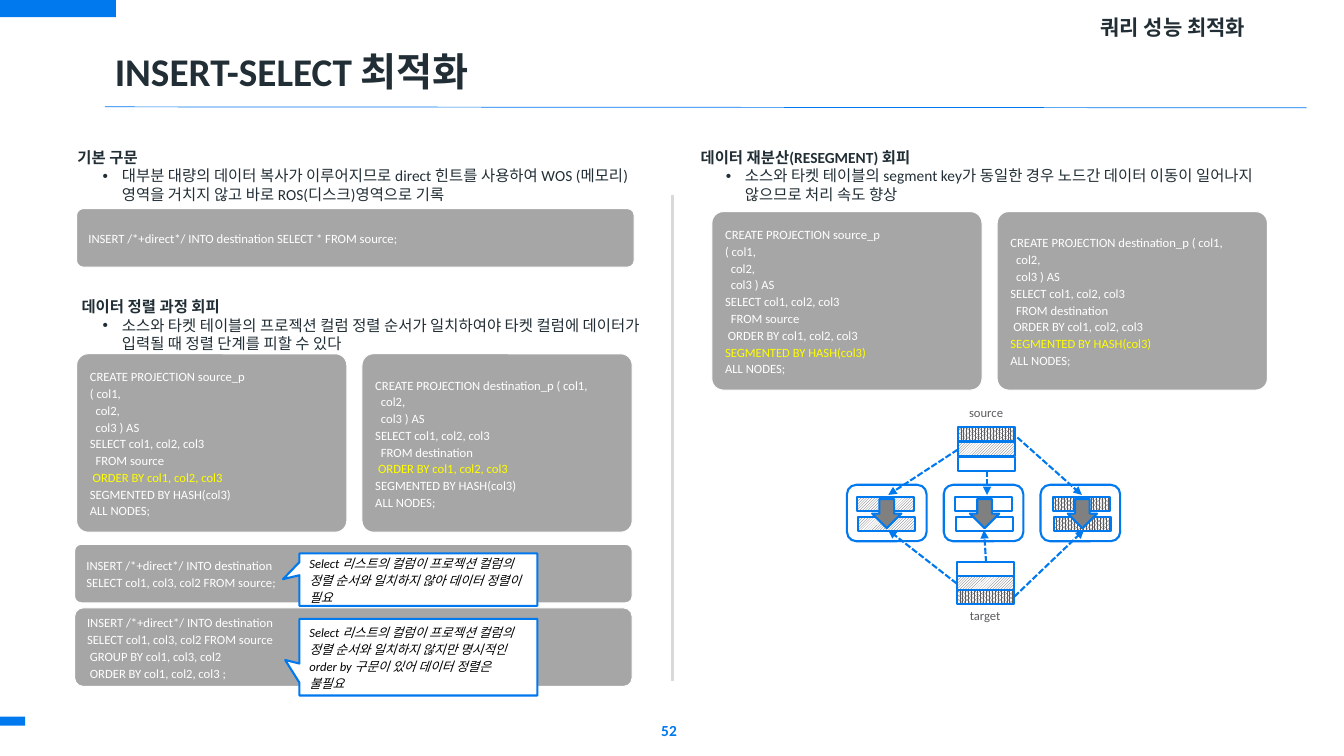
"""Build the INSERT-SELECT optimisation slide."""
from lxml import etree
from pptx import Presentation
from pptx.dml.color import RGBColor
from pptx.enum.dml import MSO_LINE, MSO_PATTERN
from pptx.enum.shapes import MSO_CONNECTOR, MSO_SHAPE
from pptx.enum.text import MSO_ANCHOR, PP_ALIGN
from pptx.oxml.ns import qn
from pptx.util import Inches, Pt

BLUE = RGBColor(0x00, 0x79, 0xEF)
INK = RGBColor(0x21, 0x2E, 0x35)
CODE_GRAY = RGBColor(0xA6, 0xA6, 0xA6)
ARROW_GRAY = RGBColor(0x80, 0x80, 0x80)
RULE_GRAY = RGBColor(0xD9, 0xD9, 0xD9)
LABEL_GRAY = RGBColor(0x5C, 0x5B, 0x5F)
WHITE = RGBColor(0xFF, 0xFF, 0xFF)
BLACK = RGBColor(0x00, 0x00, 0x00)
YELLOW = RGBColor(0xFF, 0xFF, 0x00)
RECT, ROUNDED = MSO_SHAPE.RECTANGLE, MSO_SHAPE.ROUNDED_RECTANGLE
CALLOUT, DOWN = MSO_SHAPE.RECTANGULAR_CALLOUT, MSO_SHAPE.DOWN_ARROW
STRAIGHT, DASH = MSO_CONNECTOR.STRAIGHT, MSO_LINE.SQUARE_DOT
DIAGONAL, DENSE = MSO_PATTERN.LIGHT_UPWARD_DIAGONAL, MSO_PATTERN.PERCENT_80
TOP, MIDDLE = MSO_ANCHOR.TOP, MSO_ANCHOR.MIDDLE
LEFT, CENTER, RIGHT = PP_ALIGN.LEFT, PP_ALIGN.CENTER, PP_ALIGN.RIGHT

TITLE = "INSERT-SELECT 최적화"
CHAPTER = "쿼리 성능 최적화"
PAGE_NUMBER = "52"
COLUMNS = [
    (0.67, [
        ("기본 구문", 0, 0,
         "대부분 대량의 데이터 복사가 이루어지므로 direct 힌트를 사용하여 WOS"
         " (메모리)영역을 거치지 않고 바로 ROS(디스크)영역으로 기록"),
        ("데이터 정렬 과정 회피", 67, 0.04,
         "소스와 타켓 테이블의 프로젝션 컬럼 정렬 순서가 일치하여야 타켓 컬럼에"
         " 데이터가 입력될 때 정렬 단계를 피할 수 있다"),
    ]),
    (6.85, [
        ("데이터 재분산(RESEGMENT) 회피", 0, 0,
         "소스와 타켓 테이블의 segment key가 동일한 경우 노드간 데이터 이동이"
         " 일어나지 않으므로 처리 속도 향상"),
    ]),
]
PROJECTION_TAIL = [" ORDER BY col1, col2, col3", "SEGMENTED BY HASH(col3)", "ALL NODES;"]
SOURCE_CODE = ["CREATE PROJECTION source_p", "( col1,", "  col2,", "  col3 ) AS",
               "SELECT col1, col2, col3", "  FROM source"] + PROJECTION_TAIL
DESTINATION_CODE = ["CREATE PROJECTION destination_p ( col1,", "  col2,", "  col3 ) AS",
                    "SELECT col1, col2, col3", "  FROM destination"] + PROJECTION_TAIL
PROJECTION_ROWS = [(0.76, 3.51, "ORDER BY"), (7.06, 2.1, "SEGMENTED")]
PROJECTION_STEP = 2.83
BASIC_CODE = ["INSERT /*+direct*/ INTO destination SELECT * FROM source;"]
INSERTS = [
    (5.4, 0.58, ["INSERT /*+direct*/ INTO destination",
                 "SELECT col1, col3, col2 FROM source;"],
     5.49, 0.52, (-0.569, -0.009),
     "Select 리스트의 컬럼이 프로젝션 컬럼의 정렬 순서와 일치하지 않아 데이터 정렬이 필요"),
    (6.03, 0.78, ["INSERT /*+direct*/ INTO destination",
                  "SELECT col1, col3, col2 FROM source",
                  " GROUP BY col1, col3, col2", " ORDER BY col1, col2, col3 ;"],
     6.14, 0.76, (-0.56, 0.037),
     "Select 리스트의 컬럼이 프로젝션 컬럼의 정렬 순서와 일치하지 않지만 명시적인"
     " order by 구문이 있어 데이터 정렬은 불필요"),
]
NODE_FILLS = [DIAGONAL, None, DENSE]
STACKS = [(9.5, 4.24, 0.145, [DENSE, DIAGONAL, None]),
          (9.49, 5.58, 0.135, [None, DIAGONAL, DENSE])]
FLOWS = [(9.49, 5.79, 8.81, 5.26), (9.78, 5.58, 9.76, 5.26), (10.06, 5.92, 10.75, 5.26),
         (9.79, 4.67, 9.79, 4.91), (9.5, 4.46, 8.81, 4.91), (10.09, 4.34, 10.73, 4.91)]
LABELS = [("source", 9.61, 4.03), ("target", 9.6, 6.05)]

deck = Presentation()
deck.slide_width, deck.slide_height = Inches(13.33), Inches(7.5)
page = deck.slides.add_slide(deck.slide_layouts[6])


def apply(target, values):
    for name, value in values.items():
        setattr(target, name, value)


def write(para, text, size, color, **styles):
    span = para.add_run()
    span.text = text
    apply(span.font, dict(size=Pt(size), name="Calibri", **styles))
    span.font.color.rgb = color


def add_box(at, anchor=TOP):
    box = page.shapes.add_textbox(*map(Inches, at))
    apply(box.text_frame, dict(word_wrap=True, vertical_anchor=anchor))
    return box.text_frame


def add_shape(kind, at, fill, line=BLUE, width=1.5, adjust=()):
    shape = page.shapes.add_shape(kind, *map(Inches, at))
    shape.shadow.inherit = False
    if fill in (DIAGONAL, DENSE):
        shape.fill.patterned()
        shape.fill.pattern = fill
        shape.fill.fore_color.rgb, shape.fill.back_color.rgb = LABEL_GRAY, WHITE
    else:
        shape.fill.solid()
        shape.fill.fore_color.rgb = fill or WHITE
    if line is None:
        shape.line.fill.background()
    else:
        shape.line.color.rgb, shape.line.width = line, Pt(width)
    for index, value in enumerate(adjust):
        shape.adjustments[index] = value
    return shape


def add_line(ends, color, width, arrow=False):
    line = page.shapes.add_connector(STRAIGHT, *map(Inches, ends))
    line.line.color.rgb, line.line.width = color, Pt(width)
    if arrow:
        line.line.dash_style = DASH
        etree.SubElement(line.line._get_or_add_ln(), qn("a:tailEnd"), type="triangle")
    etree.SubElement(line._element.spPr, qn("a:effectLst"))


def fill_lines(shape, lines, color, accent=None, **styles):
    frame = shape.text_frame
    apply(frame, dict(word_wrap=True, vertical_anchor=MIDDLE))
    for index, text in enumerate(lines):
        para = frame.add_paragraph() if index else frame.paragraphs[0]
        apply(para, dict(alignment=LEFT, line_spacing=Pt(12)))
        marked = accent and text.strip().startswith(accent)
        write(para, text, 9, YELLOW if marked else color, **styles)


def add_code(at, lines, corner=0.111, accent=None):
    panel = add_shape(ROUNDED, at, CODE_GRAY, WHITE, 0.75, [corner])
    fill_lines(panel, lines, WHITE, accent)


def add_caption(at, text, size, color, anchor=TOP, alignment=LEFT, spacing=0.9):
    frame = add_box(at, anchor)
    para = frame.paragraphs[0]
    apply(para, dict(alignment=alignment, line_spacing=spacing))
    write(para, text, size, color, bold=True)


def add_column(left, sections):
    frame = add_box((left, 1.42, 5.81, 5.48))
    for index, (heading, before, indent, detail) in enumerate(sections):
        para = frame.add_paragraph() if index else frame.paragraphs[0]
        if before:
            para.space_before = Pt(before)
            para._p.get_or_add_pPr().set("marL", str(Inches(indent)))
        write(para, heading, 11, INK, bold=True)
        para = frame.add_paragraph()
        properties = para._p.get_or_add_pPr()
        properties.set("marL", str(Inches(0.44)))
        properties.set("indent", str(Inches(-0.19)))
        etree.SubElement(properties, qn("a:buFont"), typeface="Arial")
        etree.SubElement(properties, qn("a:buChar"), char="•")
        write(para, detail, 11, INK, bold=False)


add_shape(RECT, (0, 0, 1.15, 0.17), BLUE, None)
add_shape(RECT, (0, 7.11, 0.25, 0.09), BLUE, None)
add_line((1.04, 1.06, 12.96, 1.07), BLUE, 0.5)
add_caption((1.04, 0.47, 11.28, 1.18), TITLE, 28, INK)
add_caption((6.46, 7.05, 0.4, 0.4), PAGE_NUMBER, 11, BLUE, MIDDLE, spacing=1.0)
add_caption((8.51, 0.11, 3.94, 0.35), CHAPTER, 15, INK, MIDDLE, RIGHT)
for left, sections in COLUMNS:
    add_column(left, sections)
add_line((6.67, 1.93, 6.67, 6.76), RULE_GRAY, 1.5)

add_code((0.76, 2.07, 5.53, 0.58), BASIC_CODE)
for left, top, accent in PROJECTION_ROWS:
    for index, lines in enumerate((SOURCE_CODE, DESTINATION_CODE)):
        add_code((left + index * PROJECTION_STEP, top, 2.68, 1.77), lines, 0.064, accent)
for top, height, lines, note_top, note_height, tip, note in INSERTS:
    add_code((0.74, top, 5.53, height), lines)
    callout = add_shape(CALLOUT, (2.97, note_top, 2.36, note_height), WHITE, adjust=tip)
    fill_lines(callout, [note], BLACK, italic=True)

for index, fill in enumerate(NODE_FILLS):
    add_shape(ROUNDED, (8.4 + index * 0.96, 4.81, 0.79, 0.56), WHITE)
    bar_left = 8.5 + index * 0.97
    add_shape(RECT, (bar_left + 0.01, 5.13, 0.57, 0.14), fill)
    add_shape(RECT, (bar_left, 4.93, 0.57, 0.14), fill)
    add_shape(DOWN, (bar_left + 0.15, 4.95, 0.29, 0.29), ARROW_GRAY)
for flow in FLOWS:
    add_line(flow, BLUE, 1.5, arrow=True)
for left, top, step, fills in STACKS:
    for index, fill in enumerate(fills):
        add_shape(RECT, (left, top + index * step, 0.57, 0.14), fill)
for text, left, top in LABELS:
    frame = add_box((left, top, 0.34, 0.14))
    apply(frame, dict(word_wrap=False, margin_left=0, margin_right=0,
                      margin_top=0, margin_bottom=0))
    apply(frame.paragraphs[0], dict(alignment=CENTER, line_spacing=0.9))
    write(frame.paragraphs[0], text, 9, LABEL_GRAY)

deck.save("out.pptx")
